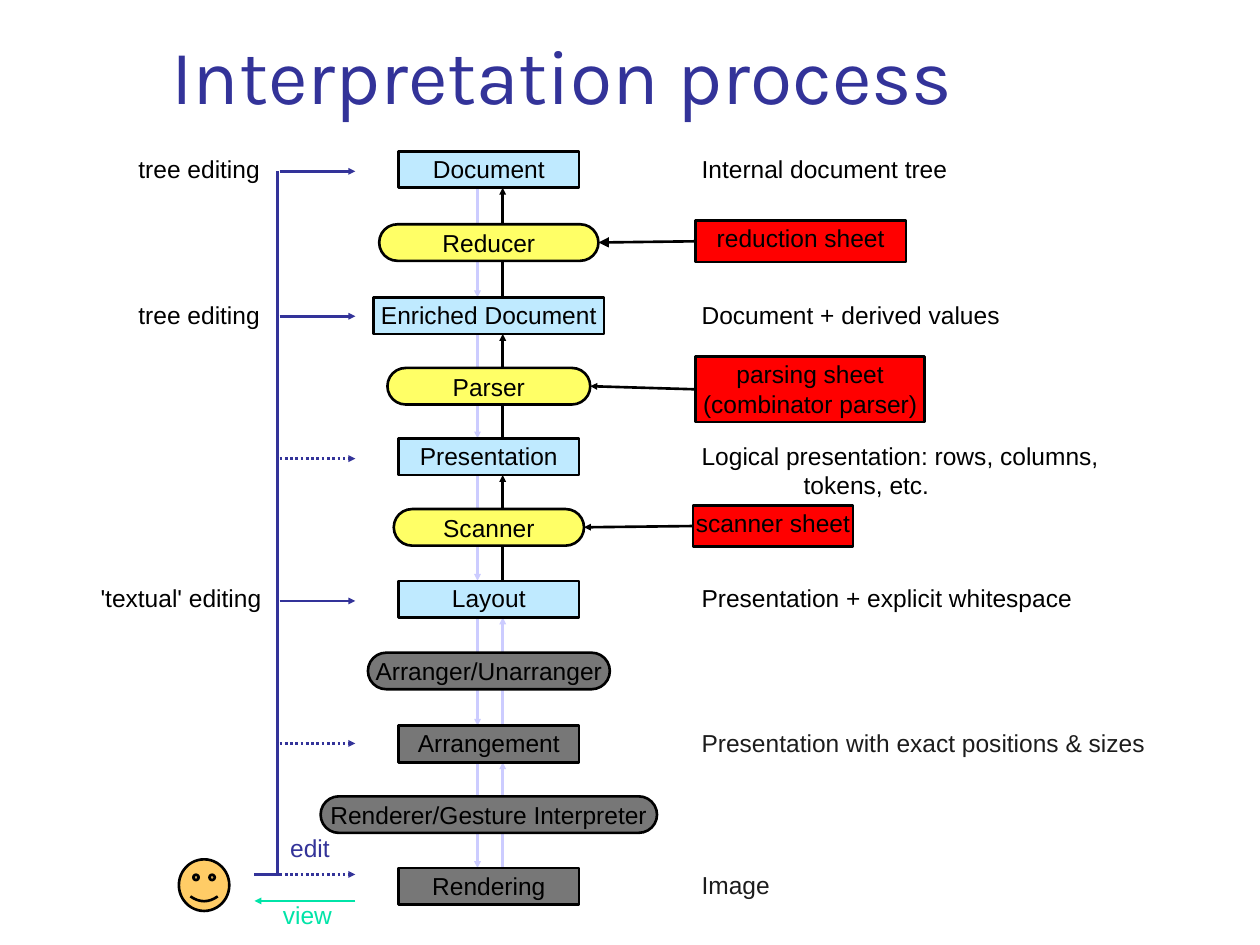
from lxml.etree import SubElement
from pptx import Presentation
from pptx.dml.color import RGBColor
from pptx.enum.dml import MSO_LINE
from pptx.enum.shapes import MSO_CONNECTOR, MSO_SHAPE
from pptx.enum.text import MSO_ANCHOR, PP_ALIGN
from pptx.oxml.ns import qn
from pptx.util import Inches, Pt

BLACK, NAVY, PALE, GREEN = "000000", "333399", "CCCCFF", "00E4A8"
SKY, YELLOW, GREY, RED, SKIN = "BFEAFF", "FFFF66", "777777", "FF0000", "FFCC66"
SOFT = "1C1C1C"
HIGH = 0.29


def paint(code):
    return RGBColor.from_string(code)


def write(frame, text, size=14, font="Arial", color=BLACK, align=PP_ALIGN.LEFT,
          anchor=MSO_ANCHOR.TOP, pad=(0.1, 0.05), wrap=True, hang=0):
    frame.word_wrap = wrap
    frame.vertical_anchor = anchor
    frame.margin_left = frame.margin_right = Inches(pad[0])
    frame.margin_top = frame.margin_bottom = Inches(pad[1])
    for i, part in enumerate(text.split("\n")):
        para = frame.add_paragraph() if i else frame.paragraphs[0]
        if i and hang:
            para._p.get_or_add_pPr().set("marL", str(Inches(hang)))
        para.alignment = align
        run = para.add_run()
        run.text = part
        run.font.size, run.font.name = Pt(size), font
        run.font.color.rgb = paint(color)


class Pen:
    """Draws styled elements on the current slide."""

    def __init__(self, slide, width=1.5):
        self.slide, self.width = slide, width

    def shape(self, kind, spot, fill, text="", **form):
        item = self.slide.shapes.add_shape(kind, *map(Inches, spot))
        item.shadow.inherit = False
        item.fill.solid()
        item.fill.fore_color.rgb = paint(fill)
        item.line.color.rgb = paint(BLACK)
        item.line.width = Pt(self.width)
        if text:
            write(item.text_frame, text, align=PP_ALIGN.CENTER,
                  pad=(0.05, 0.02), wrap=False, **form)
        return item

    def box(self, spot, fill, text):
        return self.shape(MSO_SHAPE.RECTANGLE, spot, fill, text)

    def pill(self, spot, fill, text):
        item = self.shape(MSO_SHAPE.ROUNDED_RECTANGLE, spot, fill, text,
                          anchor=MSO_ANCHOR.MIDDLE)
        item.adjustments[0] = 0.5
        return item

    def label(self, spot, text, **form):
        item = self.slide.shapes.add_textbox(*map(Inches, spot))
        write(item.text_frame, text, **form)

    def line(self, start, end, color, head="sm", dots=False):
        item = self.slide.shapes.add_connector(
            MSO_CONNECTOR.STRAIGHT, *map(Inches, (*start, *end)))
        item.line.color.rgb = paint(color)
        item.line.width = Pt(self.width)
        if dots:
            item.line.dash_style = MSO_LINE.ROUND_DOT
        if head:
            SubElement(item.line._get_or_add_ln(), qn("a:tailEnd"),
                       type="triangle", w=head, len=head)
        SubElement(item._element.spPr, qn("a:effectLst"))
        return item

    def link(self, sheet, step, head):
        item = self.line((0, 0), (1, 1), BLACK, head)
        item.begin_connect(sheet, 1)
        item.end_connect(step, 3)


LEVELS = [
    (1.2, "Document", SKY, 1.43, "Internal document tree", BLACK),
    (2.36, "Enriched Document", SKY, 1.83, "Document + derived values", BLACK),
    (3.48, "Presentation", SKY, 1.43,
     "Logical presentation: rows, columns,\ntokens, etc.", BLACK),
    (4.61, "Layout", SKY, 1.43, "Presentation + explicit whitespace", BLACK),
    (5.76, "Arrangement", GREY, 1.43,
     "Presentation with exact positions & sizes", SOFT),
    (6.89, "Rendering", GREY, 1.43, "Image", SOFT),
]
STEPS = [
    (1.78, "Reducer", YELLOW, 1.74),
    (2.92, "Parser", YELLOW, 1.61),
    (4.04, "Scanner", YELLOW, 1.51),
    (5.18, "Arranger/Unarranger", GREY, 1.92),
    (6.32, "Renderer/Gesture Interpreter", GREY, 2.67),
]
SHEETS = [
    ((5.52, 1.75, 1.67, 0.33), "reduction sheet", "med"),
    ((5.52, 2.83, 1.82, 0.52), "parsing sheet\n(combinator parser)", "sm"),
    ((5.5, 4.01, 1.27, 0.33), "scanner sheet", "sm"),
]
EDITS = [(1.36, False), (2.51, False), (3.64, True),
         (4.77, False), (5.9, True), (6.94, True)]
NOTES = [(1, 1.17, 1.25, "tree editing"), (1, 2.33, 1.25, "tree editing"),
         (0.7, 4.58, 1.5, "'textual' editing")]


def main():
    deck = Presentation()
    deck.slide_width, deck.slide_height = Inches(10), Inches(7.5)
    pen = Pen(deck.slides.add_slide(deck.slide_layouts[6]))
    mid = 3.88

    pen.label((1.26, -0.25, 8.52, 1.25), "Interpretation process", size=44,
              font="Karla", color=NAVY, anchor=MSO_ANCHOR.BOTTOM)

    for upper, lower in zip(LEVELS, LEVELS[1:]):
        base, top = upper[0] + HIGH, lower[0]
        pen.line((3.99, top), (3.99, base), BLACK if lower[2] == SKY else PALE)
        pen.line((3.79, base), (3.79, top), PALE)

    for top, name, fill, wide, note, color in LEVELS:
        pen.box((mid - wide / 2, top, wide, HIGH), fill, name)
        pen.label((5.47, top - 0.03, 3.94, 0.33), note, color=color, hang=0.81)

    steps = [pen.pill((mid - wide / 2, top, wide, HIGH), fill, name)
             for top, name, fill, wide in STEPS]
    for step, (spot, name, head) in zip(steps, SHEETS):
        pen.link(pen.box(spot, RED, name), step, head)

    pen.line((2.2, 1.36), (2.2, 6.93), NAVY, head=None)
    pen.line((2.02, 6.94), (2.22, 6.94), NAVY, head=None)
    for y, dots in EDITS:
        pen.line((2.22, y), (2.82, y), NAVY, dots=dots)
    pen.line((2.82, 7.15), (2.02, 7.15), GREEN)
    for left, top, wide, text in NOTES:
        pen.label((left, top, wide, 0.33), text)
    for left, top, text, color in [(2, 6.58, "edit", NAVY),
                                   (1.98, 7.11, "view", GREEN)]:
        pen.label((left, top, 0.92, 0.33), text, color=color, wrap=False,
                  align=PP_ALIGN.CENTER, pad=(0.05, 0.03))

    face = pen.shape(MSO_SHAPE.SMILEY_FACE, (1.42, 6.82, 0.4, 0.41), SKIN)
    face.adjustments[0] = 0.09
    deck.save("out.pptx")


if __name__ == "__main__":
    main()
